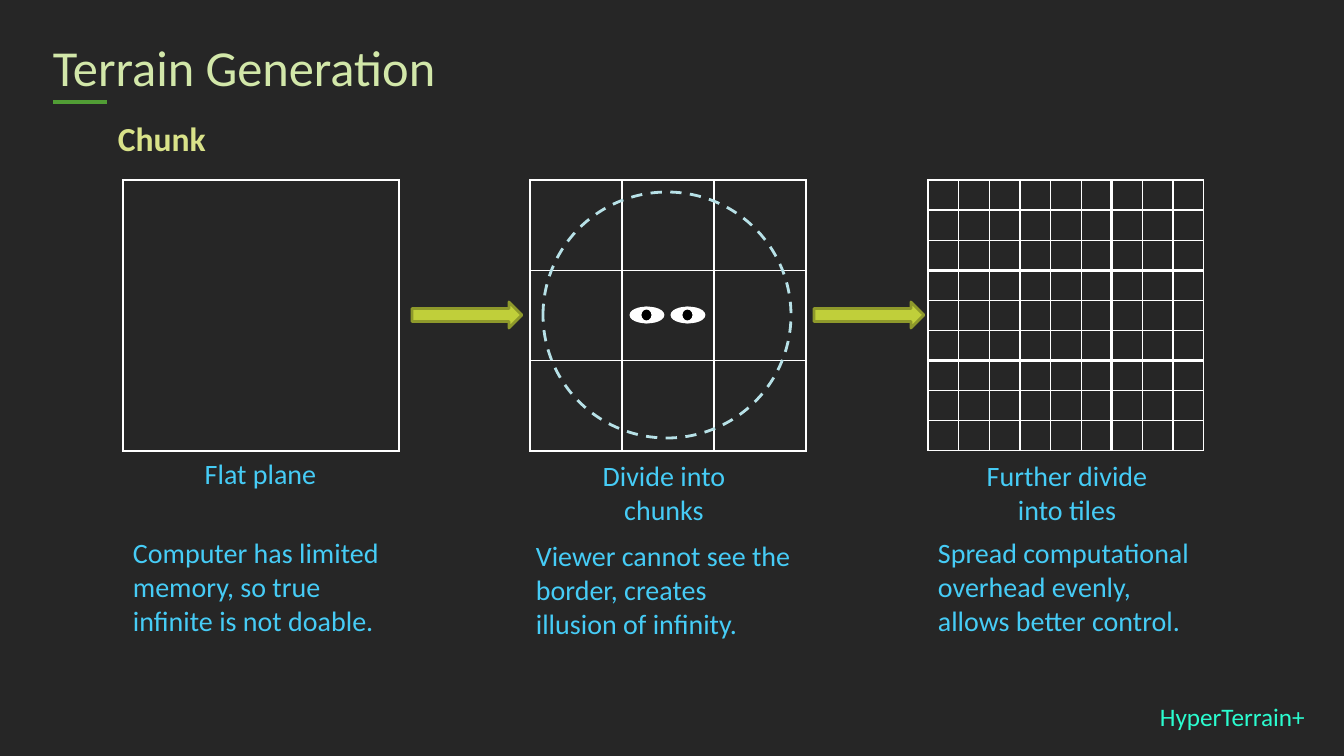
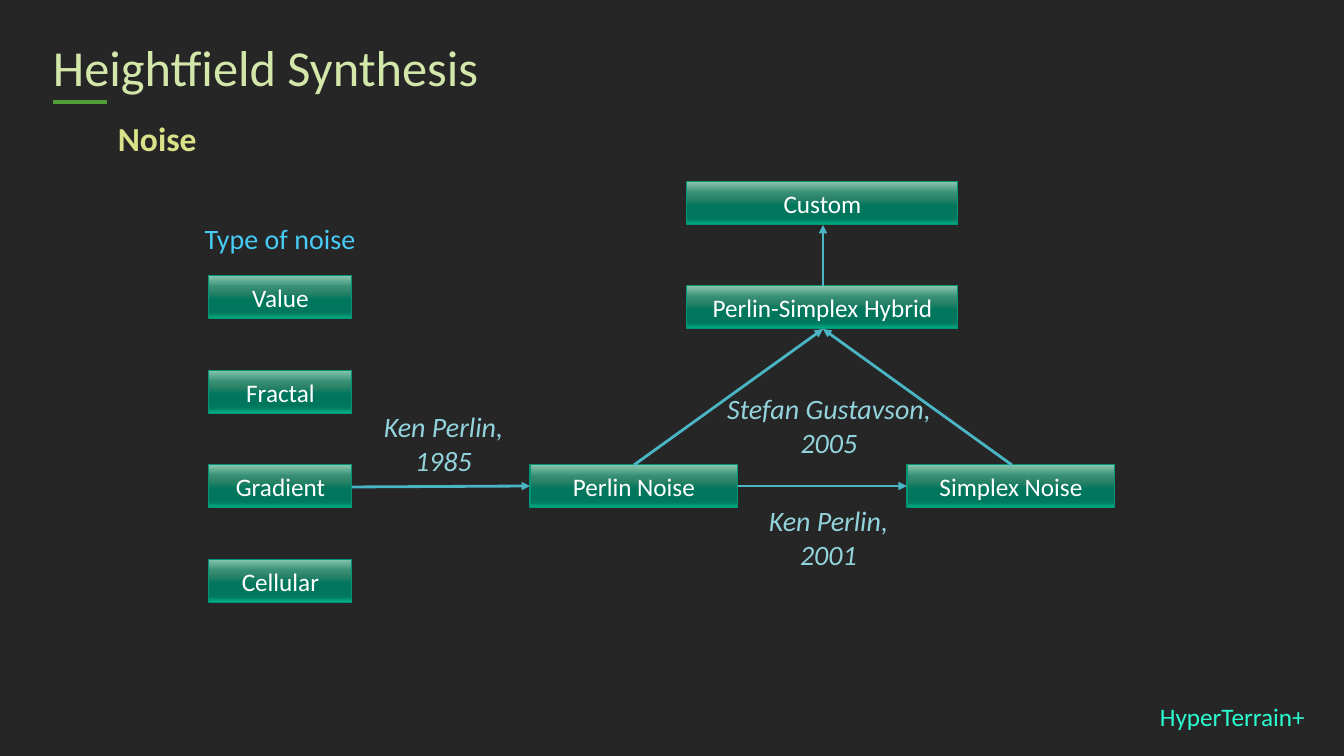
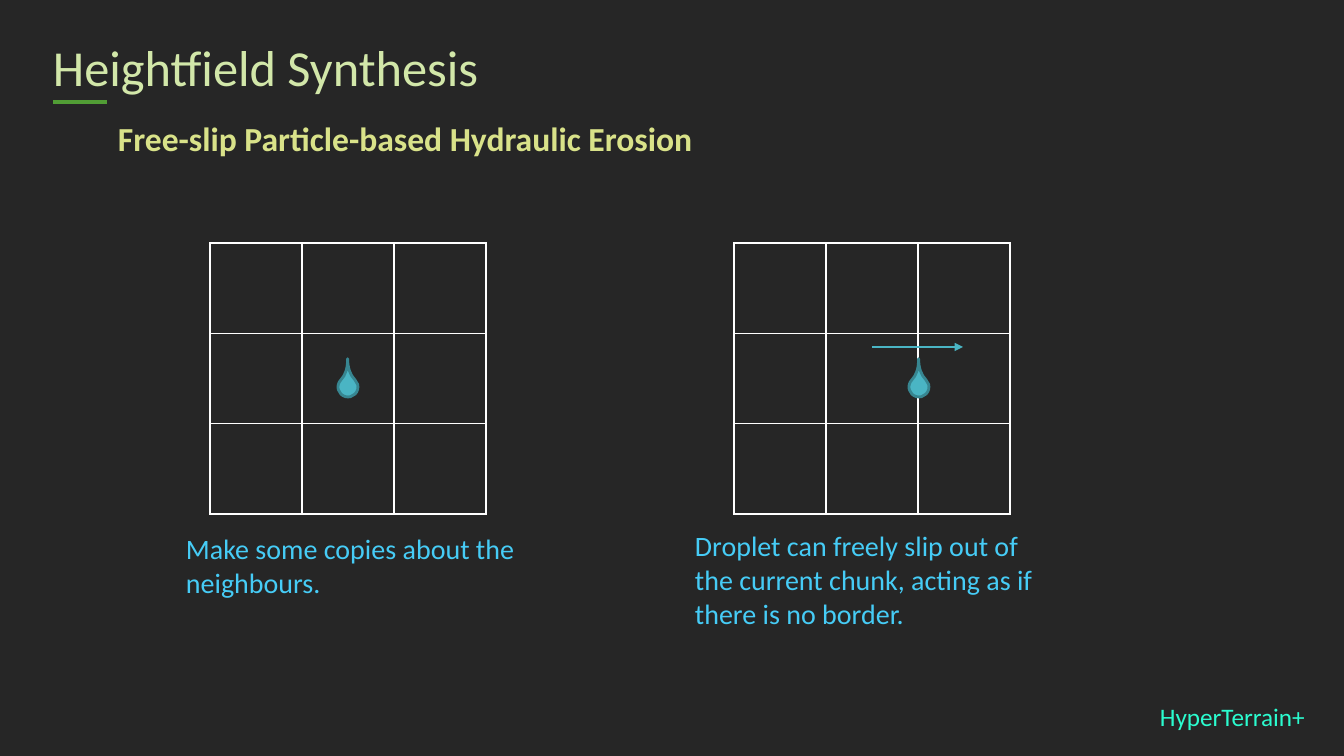
from lxml.etree import SubElement
from pptx import Presentation
from pptx.dml.color import RGBColor
from pptx.enum.dml import MSO_LINE
from pptx.enum.shapes import MSO_CONNECTOR, MSO_SHAPE
from pptx.enum.text import MSO_ANCHOR, PP_ALIGN
from pptx.oxml.ns import qn
from pptx.util import Pt

PX = 914400 / 100.8
FONT = "Calibri"
BACKGROUND = RGBColor(0x26, 0x26, 0x26)
WHITE = RGBColor(0xFF, 0xFF, 0xFF)
BLACK = RGBColor(0x00, 0x00, 0x00)
TITLE = RGBColor(0xD2, 0xE7, 0xA9)
SUBTITLE = RGBColor(0xD9, 0xE2, 0x89)
FOOTER = RGBColor(0x2B, 0xFC, 0xCF)
UNDERLINE = RGBColor(0x51, 0x9D, 0x35)
CAPTION = RGBColor(0x46, 0xCC, 0xF6)
CREDIT = RGBColor(0x92, 0xD3, 0xDC)
LIME = RGBColor(0xC0, 0xCF, 0x3A)
OLIVE = RGBColor(0x8E, 0x99, 0x2B)
HORIZON = RGBColor(0xB7, 0xE1, 0xE7)
TEAL = RGBColor(0x4A, 0xB5, 0xC4)
DARK_TEAL = RGBColor(0x37, 0x86, 0x91)
BOX_EDGE = RGBColor(0x00, 0x95, 0x75)
BOX_GRADIENT = [(0, "86C5AD"), (25, "379075"), (38, "2B8368"), (55, "00775D"),
                (80, "00765D"), (88, "007C61"), (100, "02B888")]


def add_text(slide, rect, text, size, color, align=PP_ALIGN.LEFT, anchor=MSO_ANCHOR.TOP):
    """Add a wrapped text box at a pixel rectangle and return its paragraph."""
    frame = slide.shapes.add_textbox(*[round(v * PX) for v in rect]).text_frame
    frame.word_wrap = True
    frame.vertical_anchor = anchor
    paragraph = frame.paragraphs[0]
    paragraph.text = text
    paragraph.alignment = align
    paragraph.font.name = FONT
    paragraph.font.size = Pt(size)
    paragraph.font.color.rgb = color
    return paragraph


def add_figure(slide, kind, rect, fill, edge, weight=2):
    """Add a preset shape at a pixel rectangle; no fill when fill is None."""
    figure = slide.shapes.add_shape(kind, *[round(v * PX) for v in rect])
    figure.shadow.inherit = False
    if fill is None:
        figure.fill.background()
    else:
        figure.fill.solid()
        figure.fill.fore_color.rgb = fill
    figure.line.color.rgb = edge
    figure.line.width = Pt(weight)
    return figure


prs = Presentation()
prs.slide_width, prs.slide_height = round(1344 * PX), round(756 * PX)
prs.slide_master.background.fill.solid()
prs.slide_master.background.fill.fore_color.rgb = BACKGROUND

# Shared frame: title, subtitle, footer
slides = []
for title, subtitle in [
    ("Terrain Generation", "Chunk"),
    ("Heightfield Synthesis", "Noise"),
    ("Heightfield Synthesis", "Free-slip Particle-based Hydraulic Erosion"),
]:
    slide = prs.slides.add_slide(prs.slide_layouts[6])
    add_text(slide, (1150, 696, 180, 40), "HyperTerrain+", 18, FOOTER)
    heading = add_text(slide, (43, 38, 800, 64), title, 36, TITLE, anchor=MSO_ANCHOR.MIDDLE)
    heading.line_spacing = 0.9
    topic = add_text(slide, (108, 120, 791, 42), subtitle, 24, SUBTITLE, anchor=MSO_ANCHOR.MIDDLE)
    topic.line_spacing = 0.9
    topic.font.bold = True
    slides.append(slide)
chunk, noise, erosion = slides

# Square planes; every third inner line is heavy
PLANE_W, PLANE_H = round(276 * PX), round(271 * PX)
for slide, left, top, count in [
    (chunk, 123, 180, 1), (chunk, 530, 180, 3), (chunk, 928, 180, 9),
    (erosion, 210, 243, 3), (erosion, 734, 243, 3),
]:
    plane = slide.shapes.add_table(
        count, count, round(left * PX), round(top * PX), PLANE_W, PLANE_H).table
    plane.first_row = plane.horz_banding = False
    for i in range(count):
        plane.columns[i].width = PLANE_W // count
        plane.rows[i].height = PLANE_H // count
    for row in range(count):
        for col in range(count):
            cell = plane.cell(row, col)
            cell.margin_left = cell.margin_right = cell.margin_top = cell.margin_bottom = 0
            cell.text_frame.paragraphs[0]._p.get_or_add_endParaRPr().set("sz", "800")
            borders = cell._tc.get_or_add_tcPr()
            for side, edge in [("L", col), ("R", col + 1), ("T", row), ("B", row + 1)]:
                heavy = edge % 3 == 0 and 0 < edge < count
                border = SubElement(borders, qn(f"a:ln{side}"), w=str(Pt(2.25 if heavy else 1)))
                SubElement(SubElement(border, qn("a:solidFill")), qn("a:srgbClr"), val=str(WHITE))
            cell.fill.background()

# Chunk: steps, viewer and explanations
for rect, step in [
    ((169, 452, 183, 44), "Flat plane"),
    ((560, 454, 208, 78), "Divide into chunks"),
    ((953, 454, 228, 78), "Further divide into tiles"),
]:
    add_text(chunk, rect, step, 20, CAPTION, PP_ALIGN.CENTER)
for left in (412, 814):
    add_figure(chunk, MSO_SHAPE.RIGHT_ARROW, (left, 302, 110, 26), LIME, OLIVE)
for left, top, reason in [
    (123, 531, "Computer has limited memory, so true infinite is not doable."),
    (526, 534, "Viewer cannot see the border, creates illusion of infinity."),
    (928, 531, "Spread computational overhead evenly, allows better control."),
]:
    add_text(chunk, (left, top, 276, 112), reason, 20, CAPTION)
horizon = add_figure(chunk, MSO_SHAPE.OVAL, (543, 192, 248, 246), None, HORIZON)
horizon.line.dash_style = MSO_LINE.DASH
for left in (631, 672):
    add_figure(chunk, MSO_SHAPE.OVAL, (left, 308, 32, 14), WHITE, WHITE)
    add_figure(chunk, MSO_SHAPE.OVAL, (left + 9, 308, 13, 14), BLACK, WHITE)

# Noise: family of noise types
add_text(noise, (171, 217, 218, 44), "Type of noise", 20, CAPTION, PP_ALIGN.CENTER)
noise_boxes = [(209, 276 + 94.5 * i, 143, name)
               for i, name in enumerate(["Value", "Fractal", "Gradient", "Cellular"])]
noise_boxes += [
    (530, 465, 208, "Perlin Noise"), (907, 465, 208, "Simplex Noise"),
    (687, 286, 271, "Perlin-Simplex Hybrid"), (687, 182, 271, "Custom"),
]
for left, top, width, name in noise_boxes:
    box = add_figure(noise, MSO_SHAPE.RECTANGLE, (left, top, width, 43), None, BOX_EDGE, 0.75)
    box.fill.gradient()
    box.fill.gradient_angle = 270
    stops = box._element.spPr.find(".//" + qn("a:gsLst"))
    stops.clear()
    for position, shade in BOX_GRADIENT:
        stop = SubElement(stops, qn("a:gs"), pos=str(position * 1000))
        SubElement(stop, qn("a:srgbClr"), val=shade)
    box.text_frame.vertical_anchor = MSO_ANCHOR.MIDDLE
    label = box.text_frame.paragraphs[0]
    label.text = name
    label.alignment = PP_ALIGN.CENTER
    label.font.name = FONT
    label.font.size = Pt(18)
    label.font.color.rgb = WHITE
for rect, credit in [
    ((372, 405, 143, 78), "Ken Perlin, 1985"),
    ((757, 499, 143, 78), "Ken Perlin, 2001"),
    ((715, 387, 228, 78), "Stefan Gustavson, 2005"),
]:
    add_text(noise, rect, credit, 20, CREDIT, PP_ALIGN.CENTER).font.italic = True

# Erosion: droplets and explanations
for left in (338, 909):
    droplet = add_figure(erosion, MSO_SHAPE.TEAR, (left, 377, 20, 20), TEAL, DARK_TEAL)
    droplet.adjustments[0] = 2
    droplet.rotation = 314.3
add_text(erosion, (176, 527, 373, 78), "Make some copies about the neighbours.", 20, CAPTION)
add_text(erosion, (685, 524, 373, 112),
         "Droplet can freely slip out of the current chunk, acting as if there is no border.",
         20, CAPTION)

# Title underlines and arrows
underlines = [(slide, (53, 102, 107, 102), UNDERLINE, 3) for slide in slides]
arrows = [(slide, ends, TEAL, 2) for slide, ends in [
    (noise, (352, 487, 530, 486)), (noise, (738, 486, 907, 486)),
    (noise, (634, 465, 823, 329)), (noise, (1012, 465, 823, 329)),
    (noise, (823, 286, 823, 225)), (erosion, (872, 347, 963, 347)),
]]
for slide, ends, color, weight in underlines + arrows:
    stroke = slide.shapes.add_connector(MSO_CONNECTOR.STRAIGHT, *[round(v * PX) for v in ends])
    stroke.line.color.rgb = color
    stroke.line.width = Pt(weight)
    if color == TEAL:
        SubElement(stroke.get_or_add_ln(), qn("a:tailEnd"), type="triangle")
    SubElement(stroke._element.spPr, qn("a:effectLst"))

prs.save("out.pptx")
